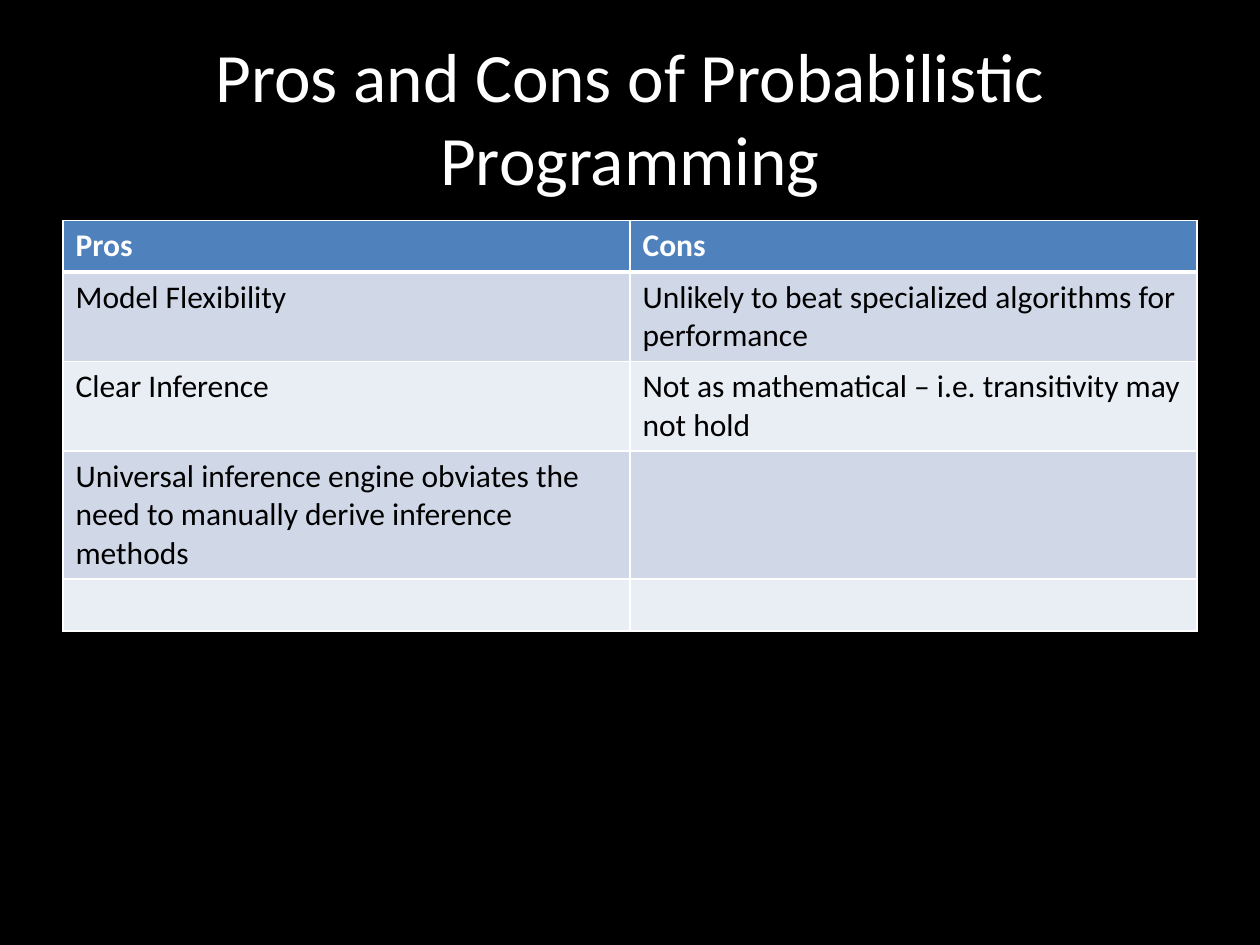
from lxml.etree import SubElement as Sub
from pptx import Presentation
from pptx.dml.color import RGBColor as Rgb
from pptx.enum.text import MSO_ANCHOR as Anchor, MSO_AUTO_SIZE as Auto, PP_ALIGN as Align
from pptx.oxml.ns import qn
from pptx.util import Inches, Pt

COLORS = {
    "back": "000000",
    "white": "FFFFFF",
    "black": "000000",
    "head": "4F81BD",
    "odd": "D0D8E8",
    "even": "E9EDF4",
}
ROWS = [
    ("Pros", "Cons"),
    ("Model Flexibility", "Unlikely to beat specialized algorithms for performance"),
    ("Clear Inference", "Not as mathematical – i.e. transitivity may not hold"),
    ("Universal inference engine obviates the need to manually derive inference methods", ""),
    ("", ""),
]


def tint(name):
    return Rgb.from_string(COLORS[name])


def style(font, size, color, bold=False):
    font.name = "Calibri"
    font.size = Pt(size)
    font.bold = bold
    font.color.rgb = tint(color)


def add_run(para, text, size, color, bold=False):
    run = para.add_run()
    run.text = text
    style(run.font, size, color, bold)


def add_title(slide, text):
    title = slide.shapes.title
    title.left, title.top = Inches(0.5), Inches(0.3)
    title.width, title.height = Inches(9), Inches(1.25)
    frame = title.text_frame
    frame.word_wrap = True
    frame.auto_size = Auto.NONE
    frame.vertical_anchor = Anchor.MIDDLE
    para = frame.paragraphs[0]
    para.alignment = Align.CENTER
    add_run(para, text, 39.6, "white")


def add_edge(cell, side, width):
    line = Sub(cell._tc.get_or_add_tcPr(), qn("a:ln" + side), w=str(Pt(width)))
    fill = Sub(line, qn("a:solidFill"))
    Sub(fill, qn("a:srgbClr"), val=COLORS["white"])


def fill_cell(cell, text, row):
    head = row == 0
    edges = {"L": 1, "R": 1, "T": 3 if row == 1 else 1, "B": 3 if head else 1}
    for side, width in edges.items():
        add_edge(cell, side, width)
    cell.fill.solid()
    cell.fill.fore_color.rgb = tint("head" if head else "odd" if row % 2 else "even")
    para = cell.text_frame.paragraphs[0]
    if text:
        add_run(para, text, 18, "white" if head else "black", head)


def add_grid(slide, rows):
    high = Inches(0.41)
    frame = slide.shapes.add_table(
        len(rows), 2, Inches(0.5), Inches(1.75), Inches(9), high * len(rows)
    )
    table = frame.table
    for col in table.columns:
        col.width = Inches(4.5)
    for i, texts in enumerate(rows):
        table.rows[i].height = high
        for j, text in enumerate(texts):
            fill_cell(table.cell(i, j), text, i)


def main():
    deck = Presentation()
    deck.slide_width, deck.slide_height = Inches(10), Inches(7.5)
    slide = deck.slides.add_slide(deck.slide_layouts[5])
    slide.background.fill.solid()
    slide.background.fill.fore_color.rgb = tint("back")
    add_title(slide, "Pros and Cons of Probabilistic Programming")
    add_grid(slide, ROWS)
    deck.save("out.pptx")


main()
